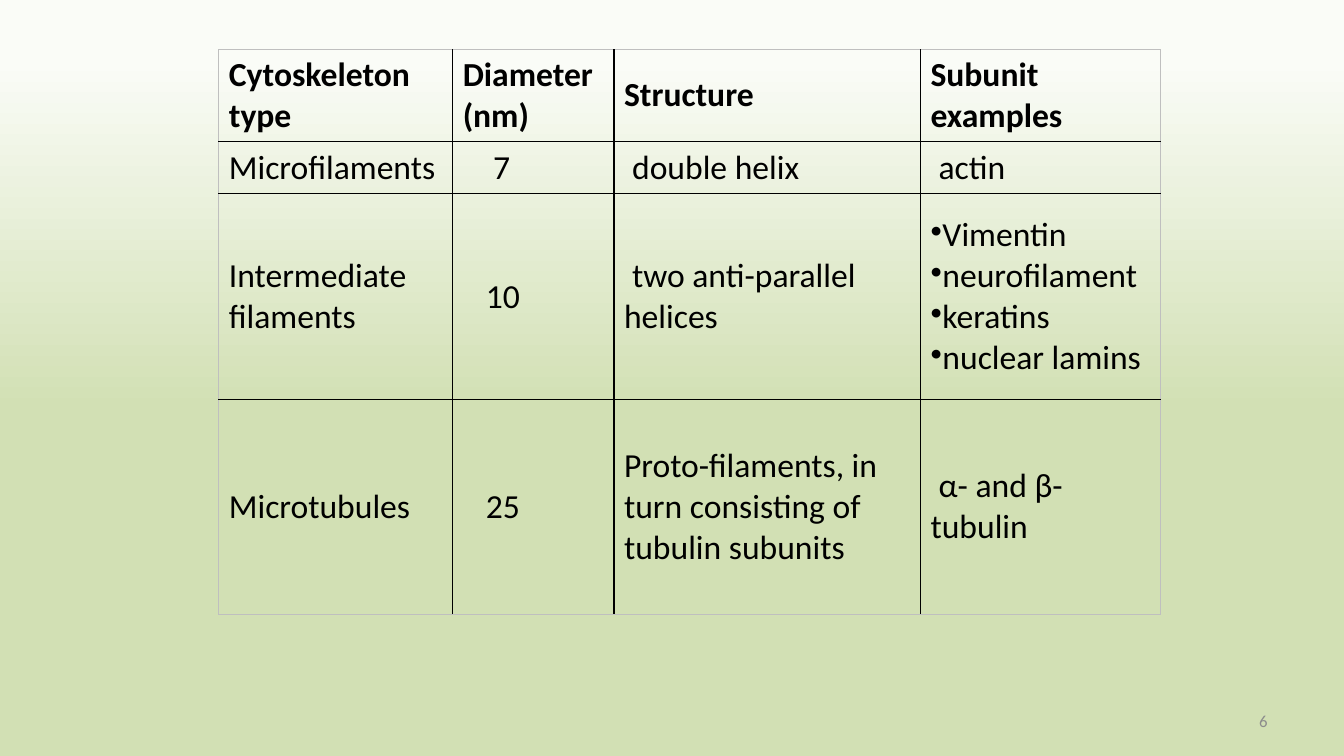
from copy import deepcopy
from dataclasses import dataclass

from lxml.etree import SubElement as Sub
from pptx import Presentation
from pptx.dml.color import RGBColor as RGB
from pptx.enum.text import MSO_ANCHOR as Anchor, PP_ALIGN as Align
from pptx.oxml.ns import qn
from pptx.util import Inches, Pt

# A cell is text, (text, first-line indent in inches), or a list of bullets.
HEAD = ["Cytoskeleton type", "Diameter (nm)", "Structure", "Subunit examples"]
BODY = [
    ["Microfilaments", ("7", 0.3), ("double helix", 0.08), ("actin", 0.08)],
    ["Intermediate filaments", ("10", 0.23),
     ("two anti-parallel helices", 0.08),
     ["Vimentin", "neurofilament", "keratins", "nuclear lamins"]],
    ["Microtubules", ("25", 0.23),
     "Proto-filaments, in turn consisting of tubulin subunits",
     ("α- and β-tubulin", 0.08)],
]
ROWS = [HEAD] + BODY
COLS = [2.32, 1.6, 3.04, 2.38]
HIGHS = [0.89, 0.52, 2.04, 2.13]
LEFT, TOP = 2.17, 0.49
PAGE = "6"


@dataclass(frozen=True)
class Theme:
    font: str = "Calibri"
    ink: str = "000000"
    edge: str = "BFBFBF"
    muted: str = "8C8C8C"
    body: int = 24
    small: int = 12
    rule: float = 1
    hair: float = 0.5
    back: tuple = ((0.08, "FAFCF7"), (0.54, "D2E0B4"), (1, "D2E0B4"))


THEME = Theme()


def style(para, size, color, bold=False):
    font = para.font
    font.name, font.size, font.bold = THEME.font, Pt(size), bold
    font.color.rgb = RGB.from_string(color)


def paint(slide):
    """Fill the background with the vertical gradient."""
    fill = slide.background.fill
    fill.gradient()
    fill.gradient_angle = 270
    stops = fill._fill._gradFill.gsLst
    stops.append(deepcopy(stops[-1]))
    for stop, (pos, color) in zip(fill.gradient_stops, THEME.back):
        stop.position = pos
        stop.color.rgb = RGB.from_string(color)


def border(cell, row, col):
    """Rule the inner sides in ink and the outer sides with a hairline."""
    outer = {"lnL": col == 0, "lnR": col == len(COLS) - 1,
             "lnT": row == 0, "lnB": row == len(ROWS) - 1}
    props = cell._tc.get_or_add_tcPr()
    for side, edge in outer.items():
        width = THEME.hair if edge else THEME.rule
        line = Sub(props, qn("a:" + side), w=str(Pt(width)))
        fill = Sub(line, qn("a:solidFill"))
        Sub(fill, qn("a:srgbClr"), val=THEME.edge if edge else THEME.ink)


def write(cell, item, bold):
    bullets = isinstance(item, list)
    text, indent = item if isinstance(item, tuple) else (item, 0)
    cell.text = "\n".join(text) if bullets else text
    cell.vertical_anchor = Anchor.MIDDLE
    for para in cell.text_frame.paragraphs:
        props = para._p.get_or_add_pPr()
        props.set("marL", "0")
        props.set("indent", str(Inches(indent)))
        if bullets:
            Sub(props, qn("a:buChar"), char="•")
        style(para, THEME.body, THEME.ink, bold)


def add_grid(slide):
    frame = slide.shapes.add_table(
        len(ROWS), len(COLS), Inches(LEFT), Inches(TOP),
        Inches(sum(COLS)), Inches(sum(HIGHS)))
    table = frame.table
    table.first_row = table.horz_banding = False
    for col, width in zip(table.columns, COLS):
        col.width = Inches(width)
    for r, (row, high) in enumerate(zip(ROWS, HIGHS)):
        table.rows[r].height = Inches(high)
        for c, item in enumerate(row):
            cell = table.cell(r, c)
            write(cell, item, bold=r == 0)
            border(cell, r, c)
            cell.fill.background()


def add_page(slide):
    box = slide.shapes.add_textbox(
        Inches(9.56), Inches(6.95), Inches(3.11), Inches(0.4))
    frame = box.text_frame
    frame.word_wrap = True
    frame.vertical_anchor = Anchor.MIDDLE
    para = frame.paragraphs[0]
    para.text = PAGE
    para.alignment = Align.RIGHT
    style(para, THEME.small, THEME.muted)


def main():
    deck = Presentation()
    deck.slide_width, deck.slide_height = Inches(13.33), Inches(7.5)
    slide = deck.slides.add_slide(deck.slide_layouts[6])
    paint(slide)
    add_grid(slide)
    add_page(slide)
    deck.save("out.pptx")


if __name__ == "__main__":
    main()
